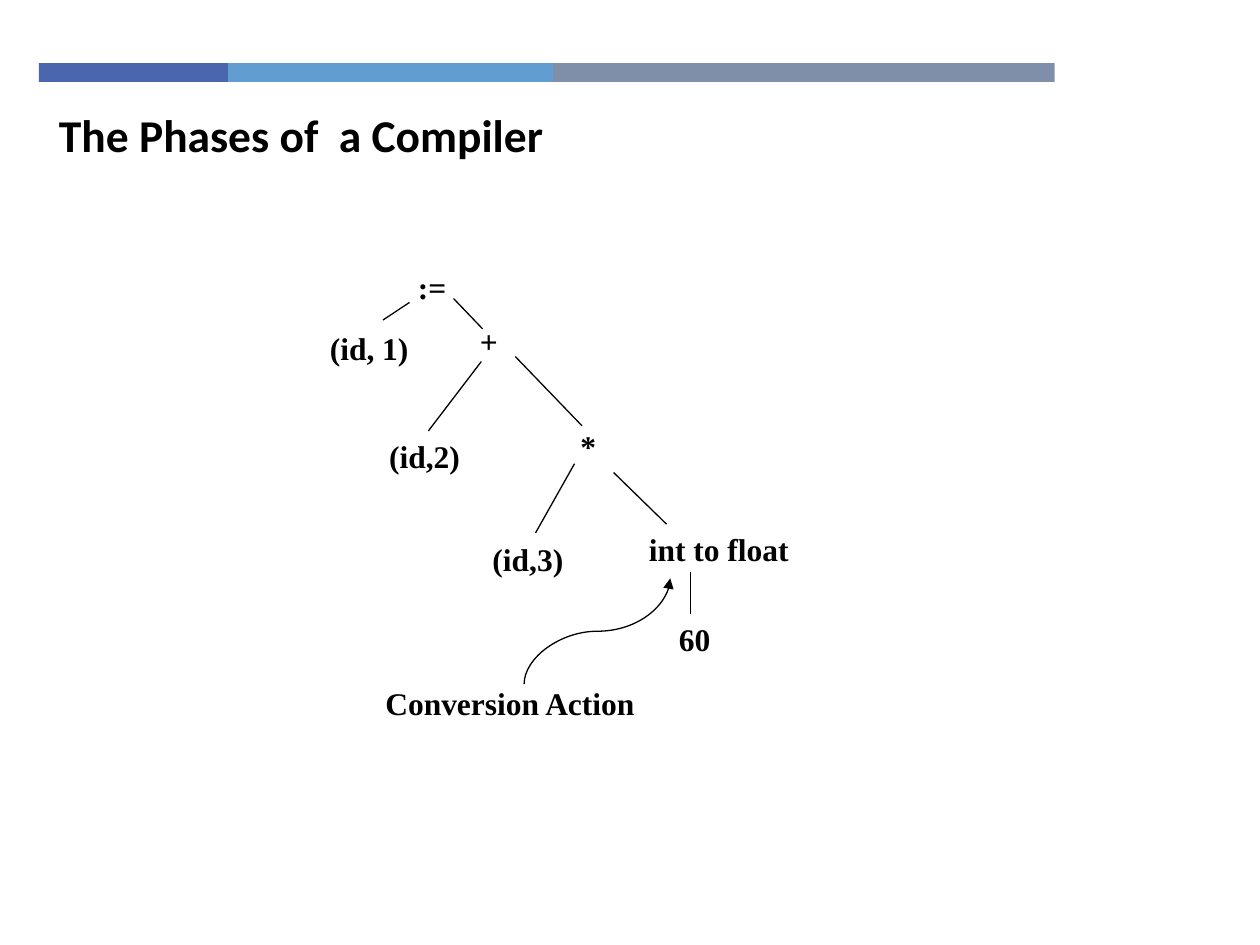
from lxml import etree
from pptx import Presentation
from pptx import util as u
from pptx.dml.color import RGBColor
from pptx.enum import shapes, text
from pptx.oxml.ns import qn

BLACK = RGBColor(0x00, 0x00, 0x00)
BLUE = RGBColor(0x4A, 0x66, 0xAC)
SKY = RGBColor(0x62, 0x9D, 0xD1)
SLATE = RGBColor(0x7F, 0x8F, 0xA9)

TITLE = {"name": "Calibri", "size": u.Pt(26), "bold": True}
LABEL = {"name": "Times New Roman", "size": u.Pt(18), "bold": True}
LABEL_H = 0.4

# Colour bar: width, colour
BAR = [(1.5, BLUE), (2.58, SKY), (3.98, SLATE)]

# Syntax tree nodes: text, left, top, width
NODES = [
    ("(id, 1)", 2.14, 2.56, 1.58),
    ("(id,2)", 2.58, 3.42, 1.58),
    ("(id,3)", 3.4, 4.24, 1.58),
    (":=", 3.01, 2.08, 0.84),
    ("+", 3.46, 2.51, 0.84),
    ("*", 4.25, 3.34, 0.84),
    ("int to float", 4.97, 4.16, 1.47),
]

# Tree branches: x1, y1, x2, y2
BRANCHES = [
    (3.25, 2.4, 3.04, 2.54),
    (3.6, 2.37, 3.83, 2.61),
    (3.82, 2.87, 3.4, 3.42),
    (4.09, 2.83, 4.62, 3.38),
    (4.56, 3.68, 4.25, 4.23),
    (4.87, 3.75, 5.29, 4.16),
]


def add_bar(parent, left, top, height):
    for width, color in BAR:
        sp = parent.add_shape(shapes.MSO_SHAPE.RECTANGLE, u.Inches(left),
                              u.Inches(top), u.Inches(width), u.Inches(height))
        sp.shadow.inherit = False
        sp.fill.solid()
        sp.fill.fore_color.rgb = color
        sp.line.fill.background()
        left += width


def add_text(parent, words, left, top, width, height=LABEL_H, fmt=LABEL,
             align=text.PP_ALIGN.LEFT):
    sp = parent.add_textbox(u.Inches(left), u.Inches(top),
                            u.Inches(width), u.Inches(height))
    tf = sp.text_frame
    tf.word_wrap = True
    p = tf.paragraphs[0]
    p.alignment = align
    r = p.add_run()
    r.text = words
    for key, value in fmt.items():
        setattr(r.font, key, value)
    r.font.color.rgb = BLACK


def add_line(parent, x1, y1, x2, y2, kind=shapes.MSO_CONNECTOR.STRAIGHT):
    cxn = parent.add_connector(kind, u.Inches(x1), u.Inches(y1),
                               u.Inches(x2), u.Inches(y2))
    cxn.line.color.rgb = BLACK
    cxn.line.width = u.Pt(0.75)
    etree.SubElement(cxn._element.spPr, qn("a:effectLst"))
    return cxn


def add_curved_arrow(parent, x1, y1, x2, y2):
    """Curve that leaves and arrives vertically, rising to the right."""
    # A quarter turn swaps width and height about the centre
    cx, cy = (x1 + x2) / 2, (y1 + y2) / 2
    dx, dy = (y1 - y2) / 2, (x2 - x1) / 2
    cxn = add_line(parent, cx - dx, cy - dy, cx + dx, cy + dy,
                   shapes.MSO_CONNECTOR.CURVE)
    cxn._element.spPr.find(qn("a:xfrm")).set("rot", str(270 * 60000))
    etree.SubElement(cxn.line._get_or_add_ln(), qn("a:tailEnd"), type="triangle")


def main():
    prs = Presentation()
    prs.slide_width, prs.slide_height = u.Inches(10), u.Inches(7.5)
    s = prs.slides.add_slide(prs.slide_layouts[6])

    # Header
    add_bar(s.shapes.add_group_shape().shapes, 0.31, 0.5, 0.15)
    add_text(s.shapes, "The Phases of  a Compiler", 0.37, 0.8, 7.16, 0.54, TITLE)

    # Syntax tree
    tree = s.shapes.add_group_shape().shapes
    for node in NODES:
        add_text(tree, *node, align=text.PP_ALIGN.CENTER)
    for branch in BRANCHES:
        add_line(tree, *branch)

    # Converted operand and its callout
    add_line(s.shapes, 5.48, 4.54, 5.48, 4.87)
    add_text(s.shapes, "60", 5.29, 4.87, 0.67)
    add_text(s.shapes, "Conversion Action", 2.96, 5.38, 2.33)
    add_curved_arrow(s.shapes, 4.16, 5.43, 5.32, 4.59)

    prs.save("out.pptx")


main()
